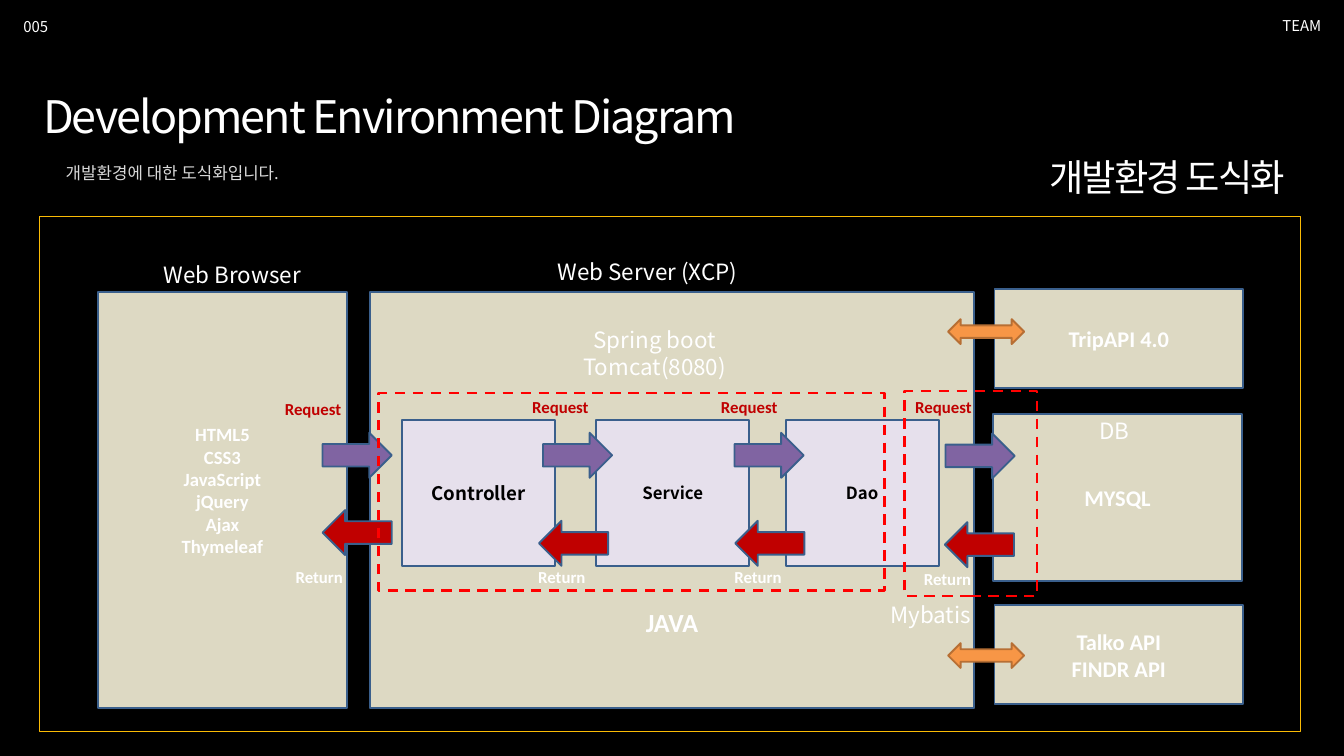
from lxml import etree
from pptx import Presentation
from pptx.dml.color import RGBColor
from pptx.enum.dml import MSO_LINE
from pptx.enum.shapes import MSO_SHAPE
from pptx.enum.text import MSO_ANCHOR, MSO_AUTO_SIZE, PP_ALIGN
from pptx.oxml.ns import qn
from pptx.util import Inches, Pt

RECT = MSO_SHAPE.RECTANGLE
ARROW = MSO_SHAPE.RIGHT_ARROW
DOUBLE = MSO_SHAPE.LEFT_RIGHT_ARROW
DASH = MSO_LINE.DASH
TOP, MIDDLE = MSO_ANCHOR.TOP, MSO_ANCHOR.MIDDLE
LEFT, CENTER, RIGHT = PP_ALIGN.LEFT, PP_ALIGN.CENTER, PP_ALIGN.RIGHT
FIXED = MSO_AUTO_SIZE.NONE

SANS, BODY = "Noto Sans CJK KR", "Calibri"
COLORS = {
    "black": "000000", "white": "FFFFFF", "gray": "D9D9D9",
    "sand": "DDD9C3", "lilac": "E6E0EC", "navy": "3A5F8C",
    "purple": "8064A2", "crimson": "C00000", "red": "FF0000",
    "orange": "F79646", "rust": "B76F34", "gold": "FBBB05",
}


def color(name):
    return RGBColor.from_string(COLORS[name])


def write(frame, text, size, face=SANS, hue="white", bold=False,
          align=LEFT, anchor=TOP, track=0):
    frame.word_wrap = True
    frame.auto_size = FIXED
    frame.vertical_anchor = anchor
    for i, line in enumerate(text.split("\n")):
        para = frame.paragraphs[0] if i == 0 else frame.add_paragraph()
        para.text = line
        para.alignment = align
        font = para.font
        font.size = Pt(size)
        font.bold = bold
        font.color.rgb = color(hue)
        font.name = face
        props = para._p.pPr.find(qn("a:defRPr"))
        etree.SubElement(props, qn("a:ea")).set("typeface", face)
        if track:
            props.set("spc", str(track * 100))


def label(slide, x, y, w, h, text, size, **style):
    box = slide.shapes.add_textbox(Inches(x), Inches(y), Inches(w), Inches(h))
    write(box.text_frame, text, size, **style)


def block(slide, kind, x, y, w, h, fill=None, line="navy", width=2):
    shape = slide.shapes.add_shape(
        kind, Inches(x), Inches(y), Inches(w), Inches(h))
    shape.shadow.inherit = False
    if fill:
        shape.fill.solid()
        shape.fill.fore_color.rgb = color(fill)
    else:
        shape.fill.background()
    shape.line.color.rgb = color(line)
    shape.line.width = Pt(width)
    return shape


def panel(slide, x, y, w, h, text, size, fill="sand", face=BODY, hue="white"):
    shape = block(slide, RECT, x, y, w, h, fill)
    write(shape.text_frame, text, size, face=face, hue=hue, bold=True,
          align=CENTER, anchor=MIDDLE)
    return shape


def header(slide, x, y, w, h):
    label(slide, x + 0.25, y + 0.22, 0.83, 0.37, "005", 16)
    label(slide, x + w - 1.3, y + 0.19, 1.06, 0.37, "TEAM", 16,
          align=RIGHT, anchor=MIDDLE)
    title = slide.shapes.title
    title.left, title.top = Inches(x + 0.54), Inches(y + 1.27)
    title.width, title.height = Inches(18.4), Inches(0.91)
    write(title.text_frame, "Development Environment Diagram", 48,
          anchor=MIDDLE, track=-2)
    label(slide, x + 0.88, y + 2.37, 4.95, 0.4,
          "개발환경에 대한 도식화입니다.", 18, hue="gray")
    label(slide, x + w - 8.69, y + 2.24, 7.91, 0.77, "개발환경 도식화", 40,
          align=RIGHT, anchor=MIDDLE, track=-2)


def browser(slide, x, y, w, h):
    label(slide, x + 0.88, y - 0.52, 3.21, 0.5, "Web Browser", 24)
    shape = panel(slide, x, y, w, h,
                  "HTML5\nCSS3\nJavaScript\njQuery\nAjax\nThymeleaf", 20)
    shape.text_frame.margin_bottom = Inches(0.35)


def server(slide, x, y, w, h):
    label(slide, x + 2.7, y - 0.56, 3.95, 0.5, "Web Server (XCP)", 24)
    shape = panel(slide, x, y, w, h, "JAVA", 28)
    shape.text_frame.margin_top = Inches(3.68)
    label(slide, x + 2.82, y + 0.46, 2.84, 0.91,
          "Spring boot\nTomcat(8080)", 24, align=CENTER)
    layers = (("Controller", 20, 0.48), ("Service", 18, 3.37), ("Dao", 18, 6.19))
    for name, size, dx in layers:
        panel(slide, x + dx, y + 1.9, 2.28, 2.17, name, size,
              fill="lilac", face=SANS, hue="black")


def stores(slide, x, y, w, h):
    panel(slide, x - 0.02, y + 1.86, w, 2.48, "MYSQL", 24)
    label(slide, x + 1.46, y + 1.86, 0.92, 0.5, "DB", 24)
    apis = (("TripAPI 4.0", 0, 0.45), ("Talko API\nFINDR API", h - 1.47, 0.56))
    for name, dy, gap in apis:
        panel(slide, x, y + dy, w, 1.47, name, 24)
        block(slide, DOUBLE, x - 0.69, y + dy + gap, 1.13, 0.37,
              "orange", "rust")


def flow(slide, x, y, w, h):
    asks = ((0, 0.62, -0.66, 0.07), (3.28, 0.62, 3.02, 0.03),
            (6.13, 0.62, 5.83, 0.03), (9.27, 0.63, 8.72, 0.03))
    backs = ((0, 1.77, -0.5, 2.57), (3.22, 1.93, 3.11, 2.57),
             (6.14, 1.93, 6.03, 2.57), (9.26, 1.95, 8.85, 2.6))
    kinds = (("Request", asks, "purple", "crimson", 0),
             ("Return", backs, "crimson", "white", 180))
    for text, spots, fill, hue, turn in kinds:
        for ax, ay, tx, ty in spots:
            arrow = block(slide, ARROW, x + ax, y + ay, 1.03, 0.67, fill)
            arrow.rotation = turn
            label(slide, x + tx, y + ty, 1.71, 0.4, text, 18,
                  face=BODY, hue=hue, bold=True)
    for dx, dy, fw, fh in ((0.83, 0.03, 7.53, 2.94), (w - 1.97, 0, 1.97, h)):
        frame = block(slide, RECT, x + dx, y + dy, fw, fh,
                      line="red", width=2.75)
        frame.line.dash_style = DASH
    label(slide, x + 8.35, y + h + 0.03, 1.97, 0.5, "Mybatis", 24)


def main():
    deck = Presentation()
    deck.slide_width, deck.slide_height = Inches(20), Inches(11.25)
    slide = deck.slides.add_slide(deck.slide_layouts[5])
    back = slide.background.fill
    back.solid()
    back.fore_color.rgb = color("black")
    header(slide, 0, 0, 20, 3.21)
    block(slide, RECT, 0.58, 3.21, 18.77, 7.67, line="gold", width=0.25)
    browser(slide, 1.46, 4.35, 3.7, 6.19)
    server(slide, 5.5, 4.35, 9, 6.19)
    stores(slide, 14.8, 4.3, 3.7, 6.18)
    flow(slide, 4.8, 5.82, 10.63, 3.05)
    deck.save("out.pptx")


if __name__ == "__main__":
    main()
